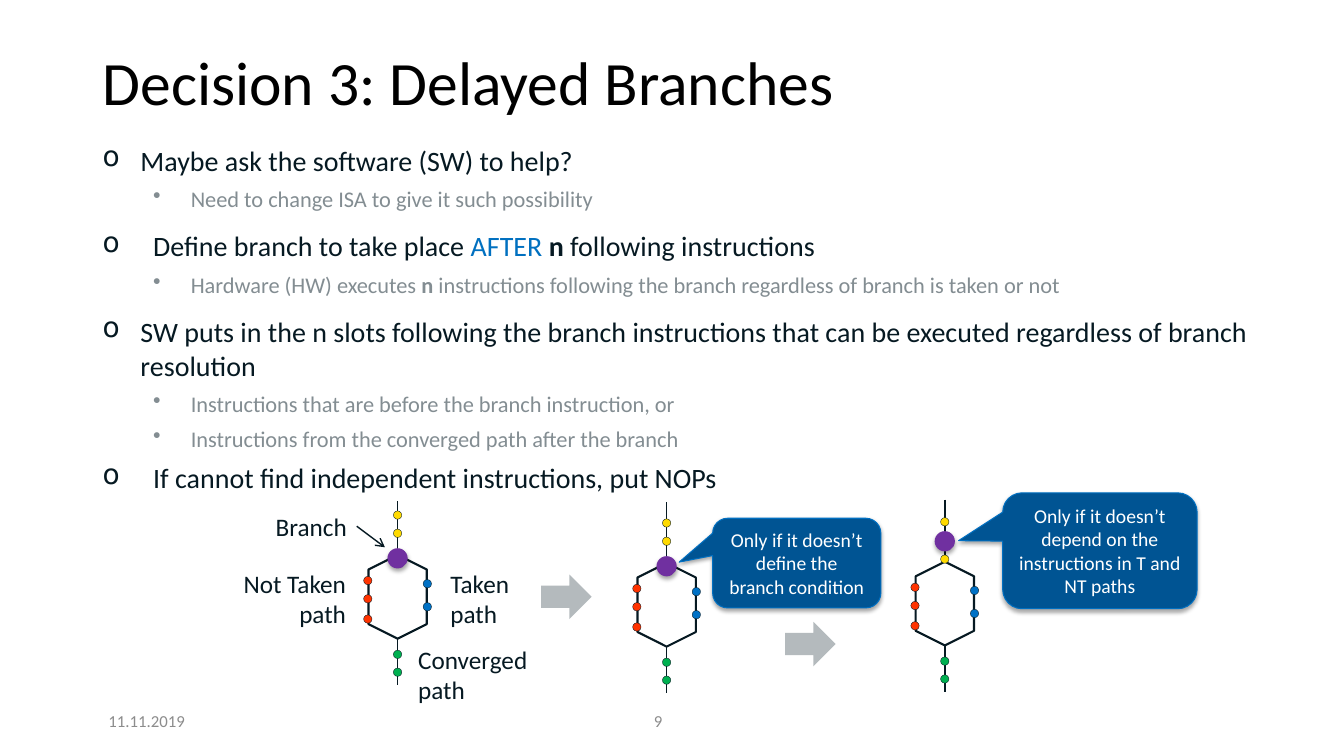
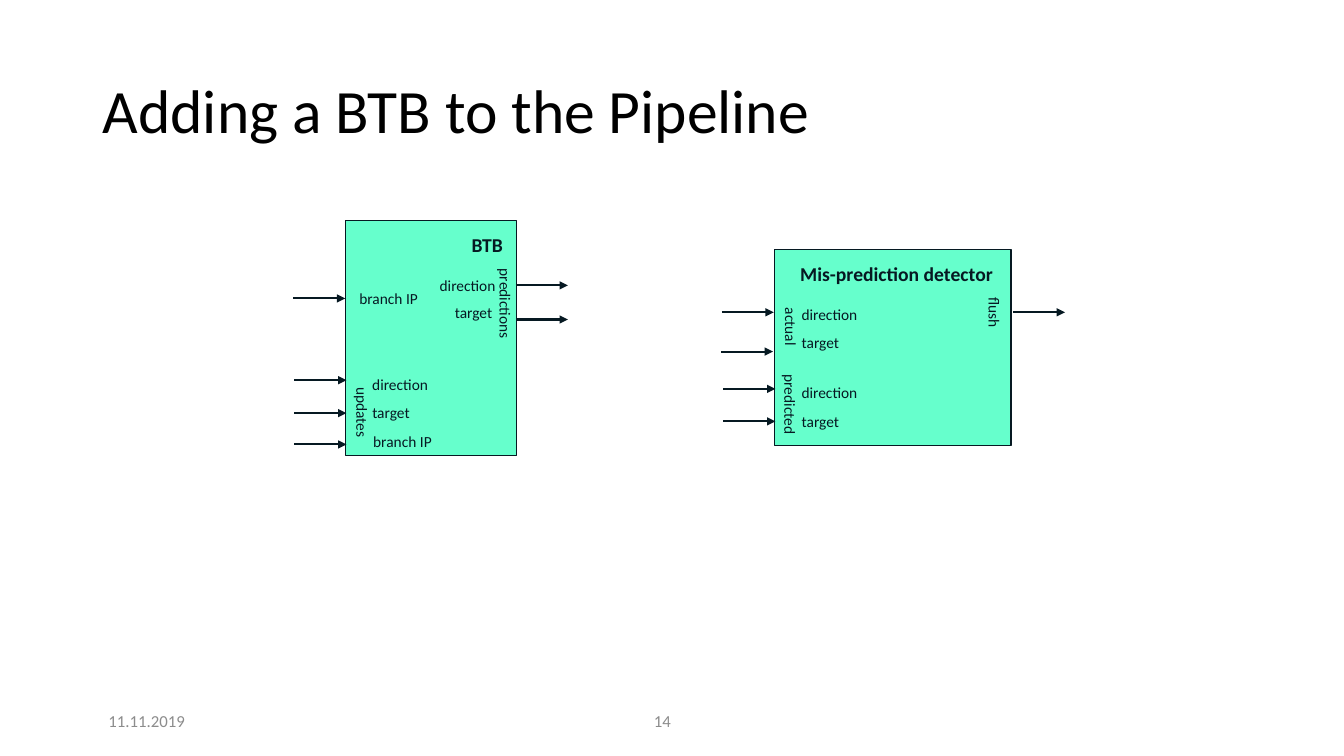
"""Builds two lecture slides: delayed branches and a branch target buffer."""
from lxml import etree
from pptx import Presentation
from pptx.dml.color import RGBColor
from pptx.enum import shapes, text
from pptx.oxml import ns
from pptx.util import Cm, Pt

FONT = "Calibri"
BLACK = RGBColor(0x00, 0x00, 0x00)
WHITE = RGBColor(0xFF, 0xFF, 0xFF)
INK = RGBColor(0x06, 0x19, 0x22)
GRAY = RGBColor(0x83, 0x8D, 0x92)
FOOTER_GRAY = RGBColor(0x8C, 0x8C, 0x8C)
ARROW_GRAY = RGBColor(0xB4, 0xBA, 0xBD)
ACCENT = RGBColor(0x00, 0x70, 0xC0)
PURPLE = RGBColor(0x70, 0x30, 0xA0)
YELLOW = RGBColor(0xFF, 0xDA, 0x00)
RED = RGBColor(0xFF, 0x33, 0x00)
BLUE = RGBColor(0x00, 0x71, 0xC5)
GREEN = RGBColor(0x00, 0xB0, 0x50)
NAVY = RGBColor(0x00, 0x54, 0x93)
NAVY_EDGE = RGBColor(0x00, 0x6F, 0xC1)
MINT = RGBColor(0x66, 0xFF, 0xCC)

SHAPE = shapes.MSO_SHAPE
ALIGN = text.PP_ALIGN
ANCHOR = text.MSO_ANCHOR

DATE = "11.11.2019"
MARGIN = 2.34

LEVELS = [
    dict(bullet="o", size=20, color=INK),
    dict(bullet="•", size=16, color=GRAY),
]
POINTS = [
    (0, 0.95, 0, ["Maybe ask the software (SW) to help?"]),
    (1, 2.22, 6, ["Need to change ISA to give it such possibility"]),
    (0, 1.27, 12, ["Define branch to take place ", ("AFTER ", ACCENT, None),
                   ("n", None, True), " following instructions"]),
    (1, 2.22, 6, ["Hardware (HW) executes ", ("n", None, True),
                  " instructions following the branch regardless of branch is taken or not"]),
    (0, 0.95, 12, ["SW puts in the n slots following the branch instructions that can be "
                   "executed regardless of branch resolution"]),
    (1, 2.22, 6, ["Instructions that are before the branch instruction, or"]),
    (1, 2.22, 6, ["Instructions from the converged path after the branch"]),
    (0, 1.27, 6, ["If cannot find independent instructions, put NOPs"]),
]

FLOWS = [
    dict(center=(10.02, 15.04), top=-2.41, branch=-0.97, before=(-1.6, -2.06)),
    dict(center=(16.8, 15.24), top=-2.59, branch=-0.97, before=(-1.6, -2.06)),
    dict(center=(23.81, 15.21), top=-2.62, branch=-1.57, before=(-1.12, -2.06)),
]
PATH_DOTS = [
    (RED, -0.75, (0.56, 0.05, -0.41)),
    (BLUE, 0.75, (0.25, -0.33)),
    (GREEN, 0, (1.9, 1.45)),
]
PATH_LABELS = [
    ("Not Taken path", (5.59, 14.2, 3.38, 1.8), ALIGN.RIGHT),
    ("Taken path", (11.1, 14.2, 2.54, 1.8), ALIGN.LEFT),
    ("Converged path", (10.29, 16.1, 3.56, 1.8), ALIGN.LEFT),
]
CALLOUTS = [
    ("Only if it doesn’t depend on the instructions in T and NT paths",
     (25.27, 12.42, 4.9, 2.92), (-0.727, -0.087, 0.167)),
    ("Only if it doesn’t define the branch condition",
     (17.96, 13.06, 4.24, 2.26), (-0.699, -0.011, 0.167)),
]
STEPS = [(13.64, 14.48), (19.79, 15.67)]

LABEL_WIDTHS = {
    "direction": 1.93, "target": 1.47, "branch IP": 2.01, "predicted": 2.03,
    "flush": 2.46, "actual": 1.47, "updates": 1.8, "predictions": 2.46,
}
UNITS = [
    dict(
        area=(19.51, 6.3, 5.97, 4.93),
        heading=("Mis-prediction detector", (19.89, 6.48, 5.41, 0.86)),
        labels=[("direction", 19.94, 7.57), ("target", 19.94, 8.28),
                ("direction", 19.94, 9.53), ("target", 19.94, 10.26)],
        turned=[("actual", 19.2, 7.87), ("predicted", 18.9, 9.83),
                ("flush", 23.83, 7.52)],
        signals=[(18.19, 7.87), (18.17, 8.86), (18.23, 9.8), (18.23, 10.62),
                 (25.53, 7.87)],
    ),
    dict(
        area=(8.71, 5.56, 4.32, 5.92),
        heading=("BTB", (11.63, 5.74, 1.3, 0.86)),
        labels=[("branch IP", 8.79, 7.16), ("direction", 9.12, 9.32),
                ("target", 9.12, 10.03), ("branch IP", 9.14, 10.77),
                ("direction", 10.82, 6.83), ("target", 11.2, 7.52)],
        turned=[("updates", 8.23, 10.03), ("predictions", 11.51, 7.29)],
        signals=[(7.39, 7.52), (7.42, 9.58), (7.42, 10.41), (7.42, 11.2),
                 (13, 7.19), (13, 8.05)],
    ),
]


def cms(values):
    return [Cm(value) for value in values]


def set_font(font, size, color, bold=None):
    font.name, font.size, font.bold = FONT, Pt(size), bold
    font.color.rgb = color


def write(frame, words, size, color=INK, align=ALIGN.LEFT, bold=None):
    frame.text = words
    paragraph = frame.paragraphs[0]
    paragraph.alignment = align
    set_font(paragraph.font, size, color, bold)
    return paragraph


def add_label(slide, words, area, size, wrap=True, anchor=ANCHOR.TOP, **style):
    label = slide.shapes.add_textbox(*cms(area))
    label.text_frame.word_wrap = wrap
    label.text_frame.vertical_anchor = anchor
    write(label.text_frame, words, size, **style)
    return label


def add_block(slide, kind, area, fill=None, edge=None, weight=0.75, shadow=False):
    block = slide.shapes.add_shape(kind, *cms(area))
    block.shadow.inherit = False
    if fill is None:
        block.fill.background()
    else:
        block.fill.solid()
        block.fill.fore_color.rgb = fill
    if edge is None:
        block.line.fill.background()
    else:
        block.line.color.rgb = edge
        block.line.width = Pt(weight)
    if shadow:
        effects = block._element.spPr.find(ns.qn("a:effectLst"))
        outer = etree.SubElement(
            effects, ns.qn("a:outerShdw"), blurRad=str(Pt(3.1)), dist=str(Pt(1.8)),
            dir="5400000", rotWithShape="0")
        black = etree.SubElement(outer, ns.qn("a:srgbClr"), val=str(BLACK))
        etree.SubElement(black, ns.qn("a:alpha"), val="35000")
    return block


def add_dot(slide, x, y, size, fill, **style):
    area = (x - size / 2, y - size / 2, size, size)
    return add_block(slide, SHAPE.OVAL, area, fill, **style)


def add_line(slide, start, end, weight=1, head=None):
    line = slide.shapes.add_connector(
        shapes.MSO_CONNECTOR.STRAIGHT, *cms(start), *cms(end))
    line.line.color.rgb = INK
    line.line.width = Pt(weight)
    properties = line._element.spPr
    if head:
        etree.SubElement(properties.find(ns.qn("a:ln")), ns.qn("a:tailEnd"), type=head)
    etree.SubElement(properties, ns.qn("a:effectLst"))
    return line


def add_slide(deck, title, title_height, number):
    slide = deck.slides.add_slide(deck.slide_layouts[6])
    heading = add_label(slide, title, (MARGIN, 1.02, 29.21, title_height), 44,
                        anchor=ANCHOR.MIDDLE, color=BLACK)
    heading.text_frame.paragraphs[0].line_spacing = 0.9
    footer = dict(size=12, anchor=ANCHOR.MIDDLE, color=FOOTER_GRAY)
    add_label(slide, DATE, (MARGIN, 17.65, 2.72, 1.02), align=ALIGN.CENTER, **footer)
    add_label(slide, str(number), (16.23, 17.65, 2.01, 1.02), **footer)
    return slide


def add_points(slide):
    frame = slide.shapes.add_textbox(*cms((MARGIN, 3.48, 29.41, 9.19))).text_frame
    frame.word_wrap = True
    for index, (level, margin, before, runs) in enumerate(POINTS):
        paragraph = frame.add_paragraph() if index else frame.paragraphs[0]
        look = LEVELS[level]
        paragraph.level = level
        properties = paragraph._p.get_or_add_pPr()
        properties.set("marL", str(Cm(margin)))
        properties.set("indent", str(-Cm(0.95 if level else margin)))
        etree.SubElement(properties, ns.qn("a:buChar"), char=look["bullet"])
        if before:
            paragraph.space_before = Pt(before)
        set_font(paragraph.font, look["size"], look["color"])
        for piece in runs:
            words, color, bold = (piece, None, None) if isinstance(piece, str) else piece
            run = paragraph.add_run()
            run.text = words
            if color is not None:
                run.font.color.rgb = color
            if bold:
                run.font.bold = True


def add_flow(slide, center, top, branch, before):
    x, y = center
    for start, end in ((top, -1.06), (1.06, 2.23)):
        add_line(slide, (x, y + start), (x, y + end))
    width, height = 2.11, 1.47
    loop = add_block(slide, SHAPE.HEXAGON, (x - width / 2, y - height / 2, width, height),
                     edge=INK, weight=1.5)
    loop.rotation = 90
    add_dot(slide, x, y + branch, 0.51, PURPLE, shadow=True)
    for color, across, downs in [(YELLOW, 0, before), *PATH_DOTS]:
        for down in downs:
            add_dot(slide, x + across, y + down, 0.21, color, edge=INK, weight=0.25)


def build_branches(deck):
    slide = add_slide(deck, "Decision 3: Delayed Branches", 2.26, 9)
    add_points(slide)
    for flow in FLOWS:
        add_flow(slide, **flow)
    for words, area, align in PATH_LABELS:
        add_label(slide, words, area, 18, align=align)
    branch = add_label(slide, "Branch", (6.45, 12.75, 2.54, 1.02), 18, align=ALIGN.RIGHT)
    pointer = add_line(slide, (8.99, 13.26), (9.7, 13.79), head="arrow")
    pointer.begin_connect(branch, 3)
    for words, area, adjustments in CALLOUTS:
        callout = add_block(slide, SHAPE.ROUNDED_RECTANGULAR_CALLOUT, area, NAVY,
                            edge=NAVY_EDGE, shadow=True)
        for index, value in enumerate(adjustments):
            callout.adjustments[index] = value
        callout.text_frame.word_wrap = True
        callout.text_frame.vertical_anchor = ANCHOR.MIDDLE
        write(callout.text_frame, words, 14, WHITE, ALIGN.CENTER)
    for x, y in STEPS:
        add_block(slide, SHAPE.RIGHT_ARROW, (x, y, 1.27, 1.12), ARROW_GRAY)


def build_pipeline(deck):
    slide = add_slide(deck, "Adding a BTB to the Pipeline", 3.68, 14)
    for unit in UNITS:
        add_block(slide, SHAPE.RECTANGLE, unit["area"], MINT, edge=INK)
        heading, area = unit["heading"]
        add_label(slide, heading, area, 14, wrap=False, align=ALIGN.CENTER, bold=True)
        for key, rotation in (("labels", 0), ("turned", 90)):
            for words, x, y in unit[key]:
                label = add_label(slide, words, (x, y, LABEL_WIDTHS[words], 0.73), 11,
                                  wrap=False, align=ALIGN.CENTER)
                label.rotation = rotation
        for x, y in unit["signals"]:
            add_line(slide, (x, y), (x + 1.31, y), weight=1.5, head="triangle")


def main():
    deck = Presentation()
    deck.slide_width, deck.slide_height = Cm(33.87), Cm(19.05)
    build_branches(deck)
    build_pipeline(deck)
    deck.save("out.pptx")


if __name__ == "__main__":
    main()
